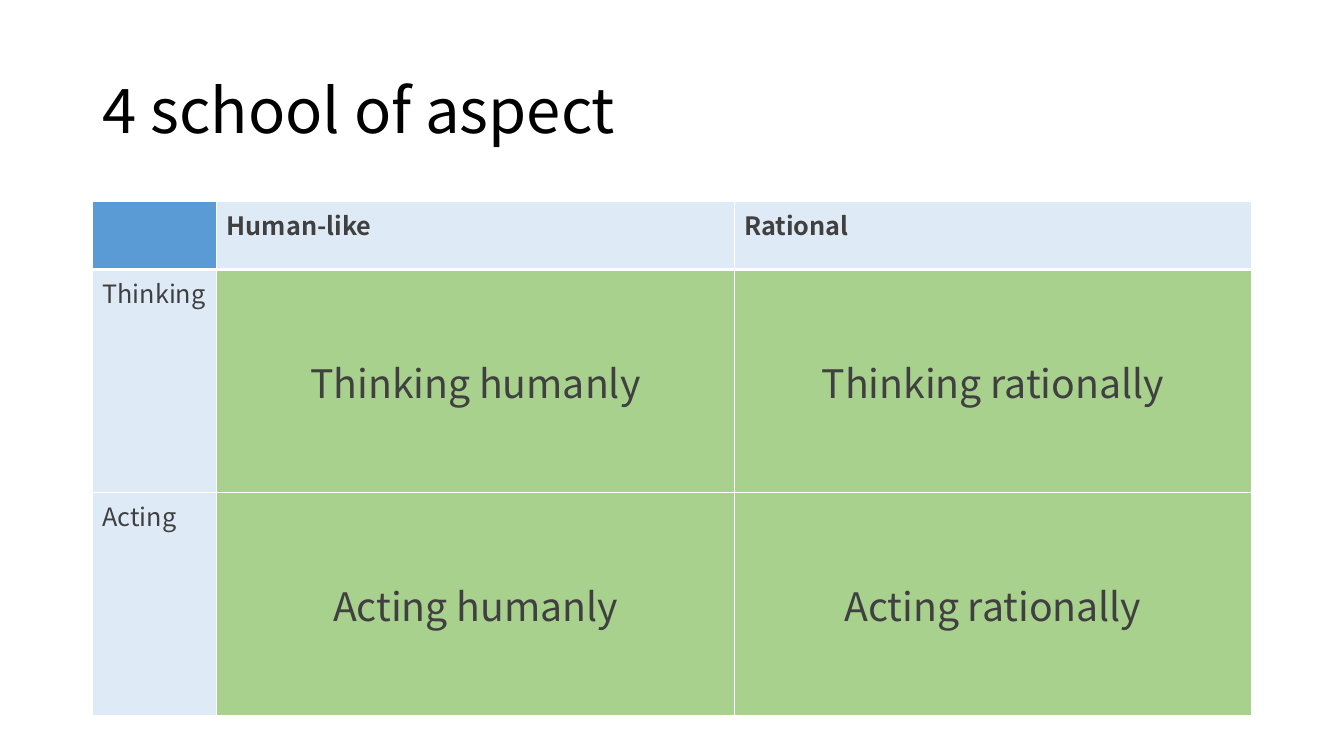
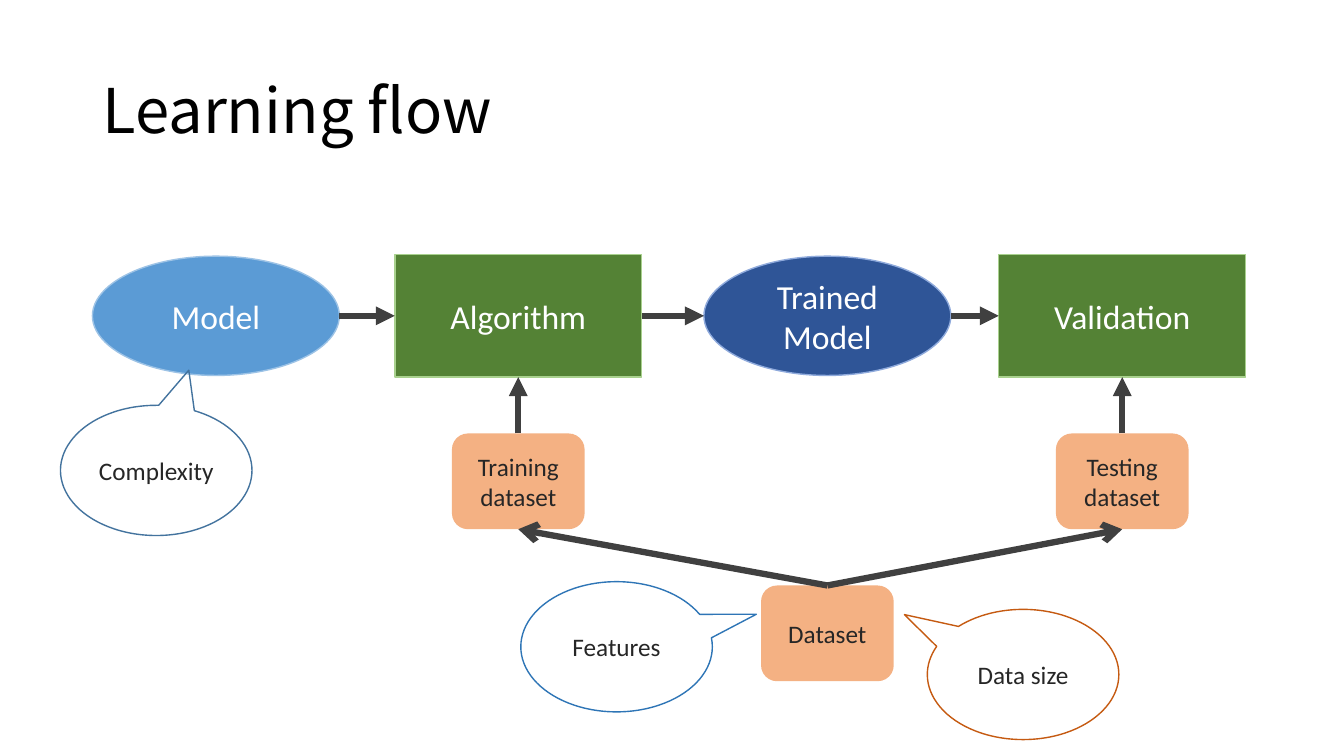
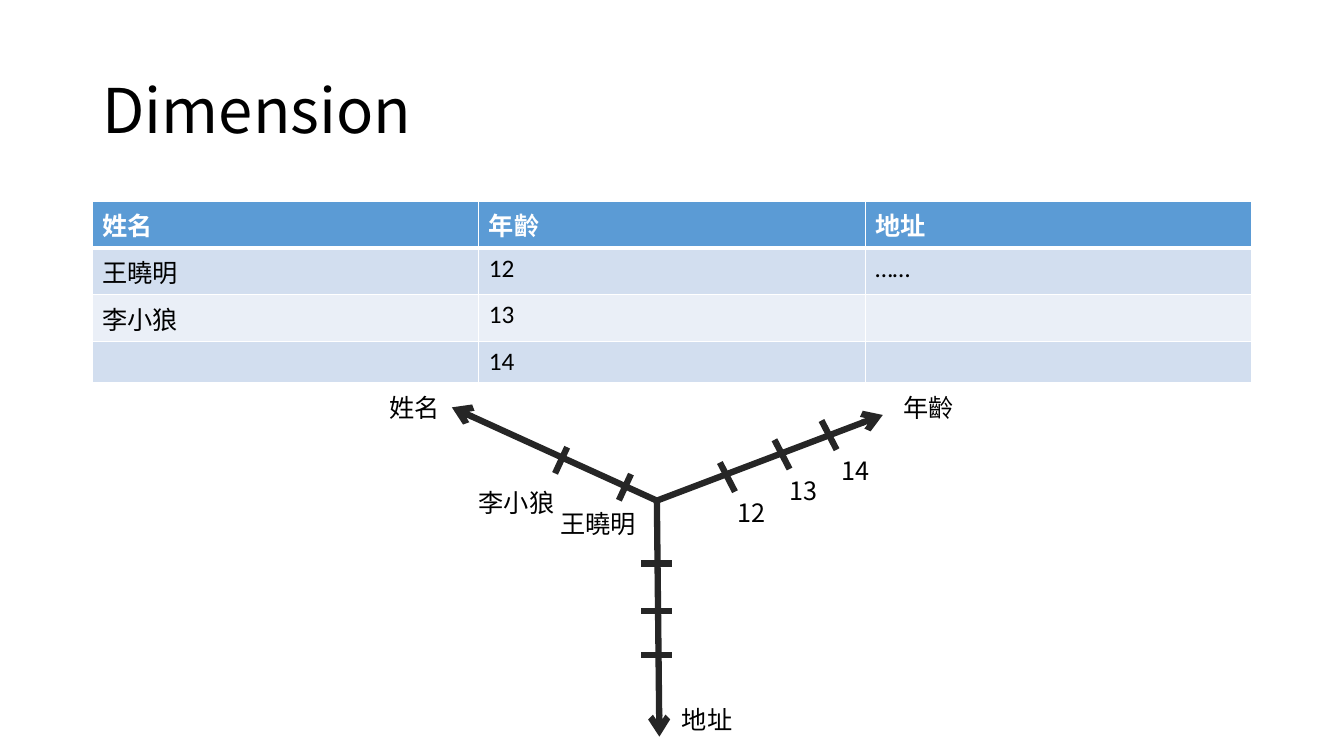
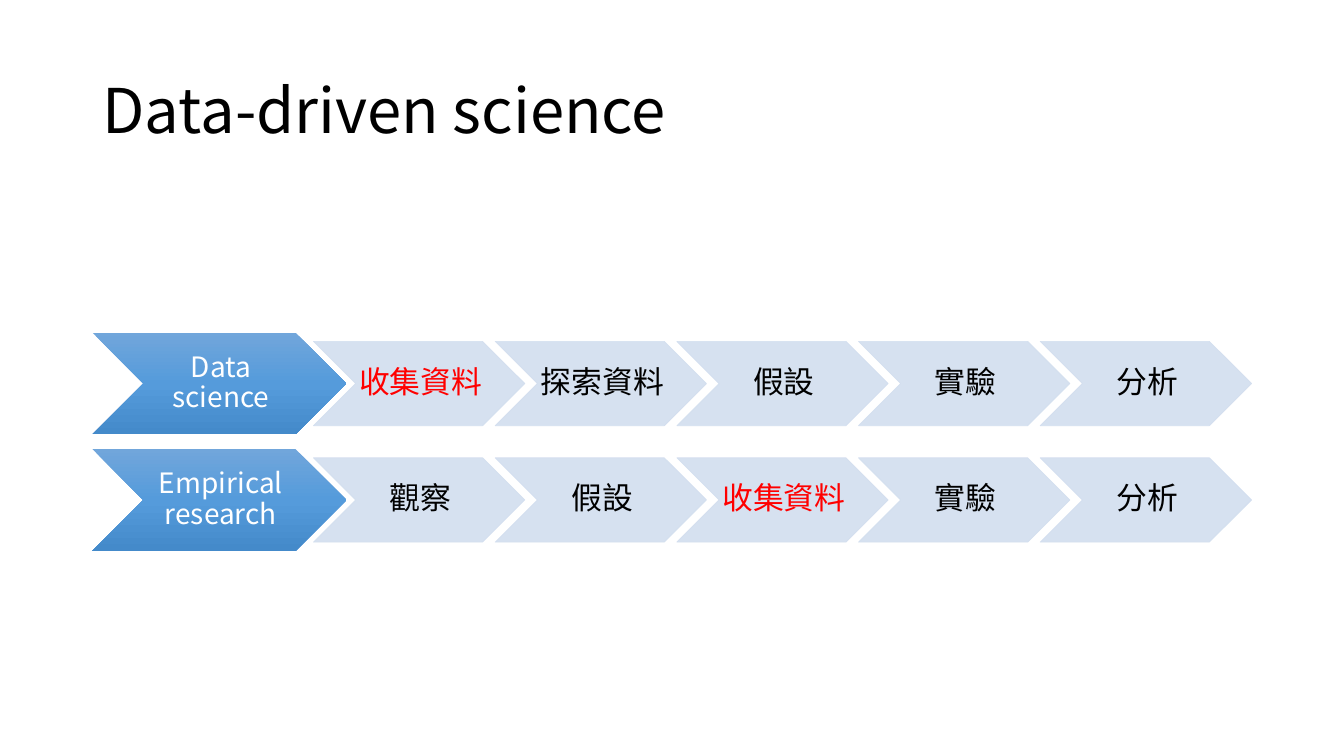
"""Build four slides on schools of thought, learning, dimension and data science."""
import dataclasses
import itertools
import typing

import lxml.etree
import pptx
import pptx.dml.color
import pptx.enum.shapes
import pptx.enum.text
import pptx.oxml
import pptx.oxml.ns
import pptx.util

Kind = pptx.enum.shapes.MSO_SHAPE
Align = pptx.enum.text.PP_ALIGN
Anchor = pptx.enum.text.MSO_ANCHOR
Fit = pptx.enum.text.MSO_AUTO_SIZE
Pair = tuple[float, float]
COLS, ROWS = 160, 90
WIDE, HIGH = pptx.util.Inches(13.33), pptx.util.Inches(7.5)
LEFT, SPAN = 11, 138
TOP, BOTTOM, RIGHT = 0, 2, 3


@dataclasses.dataclass(frozen=True)
class Theme:
    """Hold the colours, fonts and type sizes."""
    noto: str = "Noto Sans CJK TC"
    plain: str = "Calibri"
    black: str = "000000"
    white: str = "FFFFFF"
    red: str = "FF0000"
    ink: str = "262626"
    grey: str = "404040"
    blue: str = "5B9BD5"
    pale: str = "DEEBF7"
    band: str = "D2DEEF"
    light: str = "EAEFF7"
    sky: str = "9DC3E6"
    navy: str = "2F5597"
    mist: str = "8FAADC"
    leaf: str = "A9D18E"
    green: str = "548235"
    peach: str = "F4B183"
    steel: str = "43739E"
    rust: str = "C55A11"
    ocean: str = "2E75B6"
    ramp: tuple[str, ...] = ("71A6DB", "559BDB", "448ACA")
    title: float = 44
    large: float = 28
    node: float = 24
    step: float = 22
    lead: float = 20
    text: float = 18
    stroke: float = 4.5


T = Theme()


@dataclasses.dataclass(frozen=True)
class Look:
    """Describe how a text is set."""
    size: float = T.text
    ink: str = T.black
    face: str = T.noto
    bold: bool = False
    align: typing.Any = Align.LEFT
    lead: float = 1.0


@dataclasses.dataclass(frozen=True)
class Cell:
    """Describe the look of one table cell."""
    fill: str
    look: Look
    anchor: typing.Any = Anchor.TOP


@dataclasses.dataclass(frozen=True)
class Form:
    """Describe a family of shapes by outline, size and text."""
    kind: typing.Any
    wide: float
    high: float
    look: Look


@dataclasses.dataclass(frozen=True)
class Node:
    """Place a shape by its centre."""
    text: str
    form: Form
    mid: Pair
    fill: str | None = None
    line: str | None = None
    tip: Pair | None = None


@dataclasses.dataclass(frozen=True)
class Link:
    """Join a side of one node to a side of another."""
    start: str
    out: int
    end: str
    into: int
    head: str = "triangle"


@dataclasses.dataclass(frozen=True)
class Label:
    """Place a short text by its corner."""
    text: str
    left: float
    top: float


@dataclasses.dataclass(frozen=True)
class Axis:
    """Describe an axis with its ticks and labels."""
    tip: Pair
    half: Pair
    ticks: tuple[Pair, ...]
    labels: tuple[Label, ...]


def col(count: float) -> int:
    """Turn grid columns into a length."""
    return round(WIDE * count / COLS)


def row(count: float) -> int:
    """Turn grid rows into a length."""
    return round(HIGH * count / ROWS)


def frame(left: float, top: float, wide: float, high: float) -> tuple[int, ...]:
    """Turn a box on the grid into lengths."""
    return col(left), row(top), col(wide), row(high)


def apply(item: typing.Any, form: dict[str, typing.Any]) -> None:
    """Set each named value on an object."""
    for name, value in form.items():
        setattr(item, name, value)


def tint(code: str) -> pptx.dml.color.RGBColor:
    """Turn a hex code into a colour."""
    return pptx.dml.color.RGBColor.from_string(code)


def child(node: typing.Any, tag: str, **items: str) -> typing.Any:
    """Append a drawing element."""
    return lxml.etree.SubElement(node, pptx.oxml.ns.qn(tag), **items)


def write(body: typing.Any, text: str, look: Look) -> None:
    """Fill a text frame, one paragraph a line."""
    body.text = text
    for para in body.paragraphs:
        apply(para, {"alignment": look.align, "line_spacing": look.lead})
        for run in para.runs:
            apply(run.font, {"name": look.face, "bold": look.bold,
                             "size": pptx.util.Pt(look.size)})
            run.font.color.rgb = tint(look.ink)
            child(run.font._element, "a:ea", typeface=T.noto)


def start(deck: typing.Any, title: str) -> typing.Any:
    """Add a slide with its title."""
    slide = deck.slides.add_slide(deck.slide_layouts[5])
    head = slide.shapes.title
    apply(head, dict(zip(("left", "top", "width", "height"),
                         frame(LEFT, 4.8, SPAN, 17.4))))
    write(head.text_frame, title, Look(T.title, lead=0.9))
    apply(head.text_frame, {"vertical_anchor": Anchor.MIDDLE,
                            "auto_size": Fit.NONE, "word_wrap": True})
    return slide


def edge(cell: typing.Any, widths: dict[str, float]) -> None:
    """Draw white borders around a cell."""
    props = cell._tc.get_or_add_tcPr()
    for spot, (side, width) in enumerate(widths.items()):
        line = child(props, f"a:ln{side}", w=str(pptx.util.Pt(width)))
        child(child(line, "a:solidFill"), "a:srgbClr", val=T.white)
        props.insert(spot, line)


def table(slide: typing.Any, texts: list[list[str]], cols: list[float],
          rows: list[float], pick: typing.Callable[[int, int], Cell]) -> None:
    """Add a table whose cells are styled by a rule."""
    grid = slide.shapes.add_table(len(rows), len(cols), *frame(
        LEFT, 24, sum(cols), sum(rows))).table
    grid.horz_banding = False
    for part, wide in zip(grid.columns, cols):
        part.width = col(wide)
    for part, high in zip(grid.rows, rows):
        part.height = row(high)
    for i, j in itertools.product(range(len(rows)), range(len(cols))):
        cell, style = grid.cell(i, j), pick(i, j)
        cell.fill.solid()
        cell.fill.fore_color.rgb = tint(style.fill)
        cell.vertical_anchor = style.anchor
        edge(cell, {"L": 1, "R": 1, "T": 3 if i == 1 else 1,
                    "B": 3 if i == 0 else 1})
        if texts[i][j]:
            write(cell.text_frame, texts[i][j], style.look)


def draw(slide: typing.Any, node: Node) -> typing.Any:
    """Add a shape with its text."""
    form = node.form
    shape = slide.shapes.add_shape(form.kind, *frame(
        node.mid[0] - form.wide / 2, node.mid[1] - form.high / 2,
        form.wide, form.high))
    shape.shadow.inherit = False
    for part, code in ((shape.fill, node.fill), (shape.line.fill, node.line)):
        if code:
            part.solid()
            part.fore_color.rgb = tint(code)
        else:
            part.background()
    if node.line:
        shape.line.width = pptx.util.Pt(1)
    for spot, value in enumerate(node.tip or ()):
        shape.adjustments[spot] = value
    apply(shape.text_frame, {"word_wrap": True,
                             "vertical_anchor": Anchor.MIDDLE})
    write(shape.text_frame, node.text, form.look)
    return shape


def stroke(slide: typing.Any, ends: tuple[int, ...], ink: str,
           head: str | None = None) -> typing.Any:
    """Add a straight line, with an arrowhead if named."""
    line = slide.shapes.add_connector(
        pptx.enum.shapes.MSO_CONNECTOR.STRAIGHT, *ends)
    line.line.color.rgb = tint(ink)
    line.line.width = pptx.util.Pt(T.stroke)
    if head:
        child(line.line._get_or_add_ln(), "a:tailEnd", type=head)
    child(line._element.spPr, "a:effectLst")
    return line


def side(shape: typing.Any, spot: int) -> tuple[int, int]:
    """Find the middle of a side of a shape."""
    across, down = ((0.5, 0), (0, 0.5), (0.5, 1), (1, 0.5))[spot]
    return (round(shape.left + shape.width * across),
            round(shape.top + shape.height * down))


def join(slide: typing.Any, made: dict[str, typing.Any], link: Link) -> None:
    """Draw an arrow between two shapes."""
    first, last = made[link.start], made[link.end]
    line = stroke(slide, (*side(first, link.out), *side(last, link.into)),
                  T.grey, link.head)
    for shape, spot, tie in ((first, link.out, line.begin_connect),
                             (last, link.into, line.end_connect)):
        if shape.auto_shape_type != Kind.OVAL:
            tie(shape, spot)


def schools(deck: typing.Any) -> None:
    """Build the table of four schools."""
    slide = start(deck, "4 school of aspect")
    head = Look(ink=T.grey, bold=True)
    label = Look(ink=T.grey)
    large = Look(T.large, T.grey, align=Align.CENTER)

    def pick(i: int, j: int) -> Cell:
        """Choose the look of a cell."""
        if i and j:
            return Cell(T.leaf, large, Anchor.MIDDLE)
        return Cell(T.pale if i or j else T.blue, label if i else head)

    table(slide, [["", "Human-like", "Rational"],
                  ["Thinking", "Thinking humanly", "Thinking rationally"],
                  ["Acting", "Acting humanly", "Acting rationally"]],
          [14.8, 61.6, 61.6], [8.1, 26.55, 26.55], pick)


def flow(deck: typing.Any) -> None:
    """Build the flow of learning."""
    slide = start(deck, "Learning flow")
    big = Look(T.node, T.white, T.plain, align=Align.CENTER)
    small = Look(T.text, T.ink, T.plain, align=Align.CENTER)
    oval = Form(Kind.OVAL, 29.4, 14.2, big)
    box = Form(Kind.RECTANGLE, 29.4, 14.6, big)
    pad = Form(Kind.ROUNDED_RECTANGLE, 15.8, 11.4, small)
    note = Form(Kind.OVAL_CALLOUT, 22.8, 15.5, small)
    main, data = 37.6, 57.3
    one, two, three, four = 25.7, 61.7, 98.5, 133.6
    nodes = {
        "data": Node("Dataset", pad, (three, 75.4), T.peach),
        "train": Node("Training\ndataset", pad, (two, data), T.peach),
        "test": Node("Testing dataset", pad, (four, data), T.peach),
        "model": Node("Model", oval, (one, main), T.blue, T.sky),
        "method": Node("Algorithm", box, (two, main), T.green, T.leaf),
        "result": Node("Trained Model", oval, (three, main), T.navy, T.mist),
        "check": Node("Validation", box, (four, main), T.green, T.leaf),
    }
    made = {name: draw(slide, node) for name, node in nodes.items()}
    for link in (Link("model", RIGHT, "method", 1),
                 Link("method", RIGHT, "result", 1),
                 Link("result", RIGHT, "check", 1),
                 Link("data", TOP, "train", BOTTOM, "arrow"),
                 Link("data", TOP, "test", BOTTOM, "arrow"),
                 Link("train", TOP, "method", BOTTOM),
                 Link("test", TOP, "check", BOTTOM)):
        join(slide, made, link)
    for node in (
            Node("Complexity", note, (18.6, 56), None, T.steel, (0.17, -0.77)),
            Node("Data size", note, (121.8, 80.3), None, T.rust, (-0.62, -0.46)),
            Node("Features", note, (73.4, 77), None, T.ocean, (0.73, -0.25))):
        draw(slide, node)


def space(deck: typing.Any) -> None:
    """Build the table and its three axes."""
    slide = start(deck, "Dimension")
    head = Cell(T.blue, Look(ink=T.white, face=T.plain, bold=True))
    bands = [Cell(fill, Look(face=T.plain)) for fill in (T.light, T.band)]
    table(slide, [["姓名", "年齡", "地址"], ["王曉明", "12", "……"],
                  ["李小狼", "13", ""], ["", "14", ""]],
          [SPAN / 3] * 3, [4.87] * 4,
          lambda i, j: bands[i % 2] if i else head)
    root = (78.2, 59.6)
    for axis in (
            Axis((78.5, 87.7), (1.86, 0),
                 ((78.2, 67.1), (78.2, 72.7), (78.2, 78)),
                 (Label("地址", 80, 83.3),)),
            Axis((105.1, 49.4), (0.9, 1.74),
                 ((86.6, 56.8), (93.1, 54.1), (98.7, 51.8)),
                 (Label("年齡", 106.4, 46.1), Label("12", 86.6, 58.6),
                  Label("13", 92.8, 56), Label("14", 99, 53.6))),
            Axis((53.8, 48.5), (-0.72, 1.56), ((74.4, 58), (66.8, 54.8)),
                 (Label("姓名", 45.2, 46.1), Label("王曉明", 65.5, 59.9),
                  Label("李小狼", 55.8, 57.4)))):
        stroke(slide, frame(*root, *axis.tip), T.ink, "arrow")
        dx, dy = axis.half
        for x, y in axis.ticks:
            stroke(slide, frame(x - dx, y - dy, x + dx, y + dy), T.ink)
        for label in axis.labels:
            wide = 2.5 + len(label.text) * (1.65 if label.text.isdigit() else 3)
            body = slide.shapes.add_textbox(*frame(
                label.left, label.top, wide, 4.8)).text_frame
            apply(body, {"word_wrap": False, "auto_size": Fit.SHAPE_TO_FIT_TEXT})
            write(body, label.text, Look())


def shade(shape: typing.Any) -> None:
    """Fill a shape with the blue ramp from top to bottom."""
    shape.fill.gradient()
    ramp = shape._element.spPr.find(pptx.oxml.ns.qn("a:gradFill"))
    for part in list(ramp):
        ramp.remove(part)
    stops = child(ramp, "a:gsLst")
    for spot, code in enumerate(T.ramp):
        stop = child(stops, "a:gs", pos=str(spot * 50000))
        child(stop, "a:srgbClr", val=code)
    child(ramp, "a:lin", ang="5400000", scaled="0")


def fade(shape: typing.Any) -> None:
    """Make the fill and line of a shape slightly clear."""
    shape.line.width = pptx.util.Pt(0.5)
    for code in shape._element.spPr.iter(pptx.oxml.ns.qn("a:srgbClr")):
        child(code, "a:alpha", val="90000")


def science(deck: typing.Any) -> None:
    """Build the two rows of chevrons."""
    slide = start(deck, "Data-driven science")
    first = Form(Kind.CHEVRON, 30.24, 12.12, Look(
        T.lead, T.white, align=Align.CENTER, lead=0.9))
    plain = Form(Kind.CHEVRON, 25.16, 10.04, Look(
        T.step, align=Align.CENTER, lead=0.9))
    key = dataclasses.replace(plain, look=dataclasses.replace(
        plain.look, ink=T.red))
    tight = {"margin_left": pptx.util.Inches(0.03), "margin_right": 0,
             "margin_top": pptx.util.Inches(0.02),
             "margin_bottom": pptx.util.Inches(0.02)}
    lines = (("Data science", "收集資料", "探索資料", "假設", "實驗", "分析"),
             ("Empirical research", "觀察", "假設", "收集資料", "實驗", "分析"))
    for i, (name, *steps) in enumerate(lines):
        mid = 45.66 + 13.86 * i
        lead = draw(slide, Node(name, first, (LEFT + first.wide / 2, mid), T.blue))
        shade(lead)
        apply(lead.text_frame, tight)
        for j, step in enumerate(steps):
            form = key if step == "收集資料" else plain
            part = draw(slide, Node(step, form, (49.9 + 21.63 * j, mid),
                                    T.band, T.band))
            fade(part)
            apply(part.text_frame, tight)


def main() -> None:
    """Build and save the deck."""
    deck = pptx.Presentation()
    apply(deck, {"slide_width": WIDE, "slide_height": HIGH})
    for build in (schools, flow, space, science):
        build(deck)
    deck.save("out.pptx")


if __name__ == "__main__":
    main()
